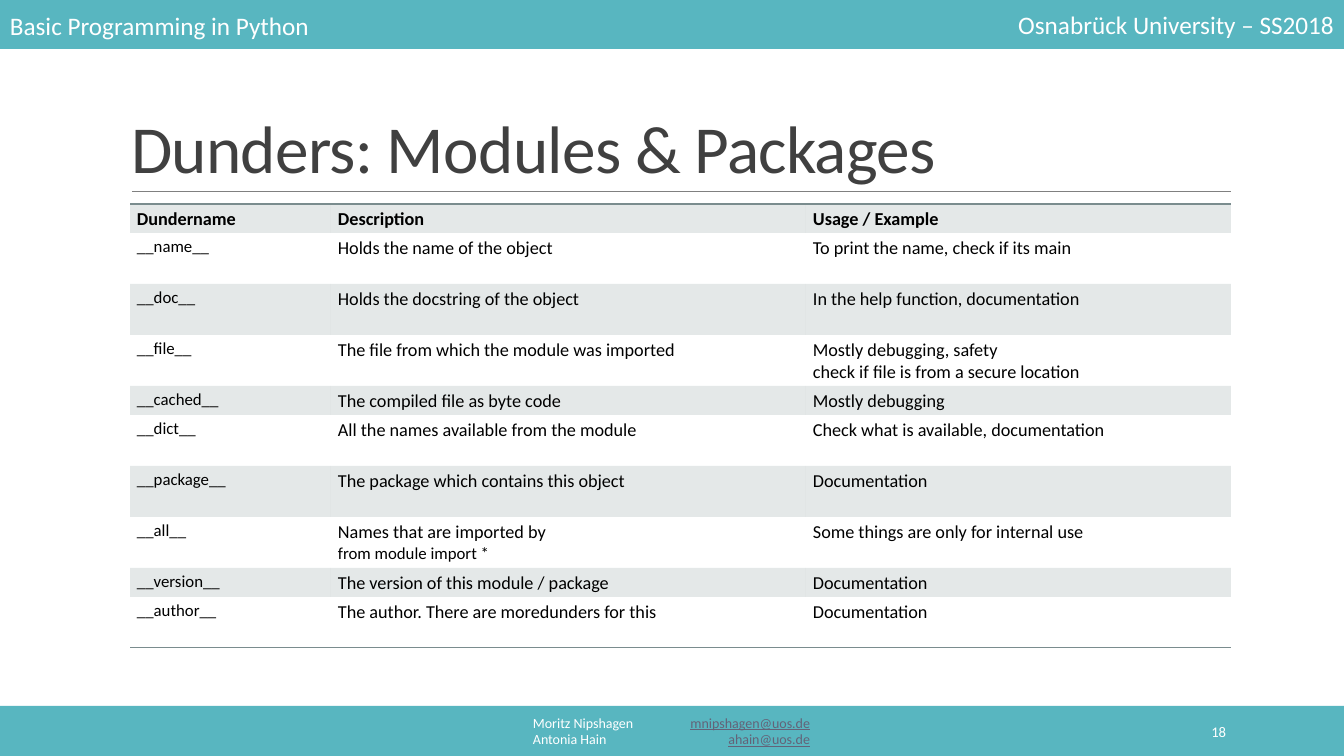
from lxml import etree
from pptx import Presentation
from pptx.dml.color import RGBColor
from pptx.enum.shapes import MSO_CONNECTOR, MSO_SHAPE
from pptx.enum.text import MSO_ANCHOR, PP_ALIGN
from pptx.oxml.ns import qn
from pptx.util import Pt

LEFT, CENTER, RIGHT = PP_ALIGN.LEFT, PP_ALIGN.CENTER, PP_ALIGN.RIGHT
MIDDLE, BOTTOM = MSO_ANCHOR.MIDDLE, MSO_ANCHOR.BOTTOM
RECTANGLE, STRAIGHT = MSO_SHAPE.RECTANGLE, MSO_CONNECTOR.STRAIGHT
EMU_PER_PX = 914400 / 100.8
NO_TABLE_STYLE = "{2D5ABB26-0587-4C30-8999-92F81FD0307C}"

THEME = {
    "font": "Calibri",
    "bar": "58B6C0", "on_bar": "FFFFFF", "link": "636378",
    "title": "404040", "rule": "808080", "text": "000000", "band": "7A8C8E",
    "title_size": 48, "header_size": 18, "cell_size": 13, "code_size": 12,
    "number_size": 10.5, "footer_size": 10,
}


def px(*lengths):
    return [round(length * EMU_PER_PX) for length in lengths]


def style(font, size, color, bold=False):
    font.name = THEME["font"]
    font.size = Pt(THEME[size])
    font.bold = bold
    font.color.rgb = RGBColor.from_string(THEME[color])


deck = Presentation()
deck.slide_width, deck.slide_height = px(1344, 756)
page = deck.slides.add_slide(deck.slide_layouts[5])

# Title and the rule under it
title = page.shapes.title
title.left, title.top, title.width, title.height = px(121, 109, 1109, 83)
title.text_frame.vertical_anchor = BOTTOM
para = title.text_frame.paragraphs[0]
para.text = "Dunders: Modules & Packages"
para.alignment = LEFT
para.line_spacing = 0.85
style(para.font, "title_size", "title")
para.runs[0].font.size = Pt(THEME["title_size"])
para.runs[0]._r.get_or_add_rPr().set("spc", "-50")

rule = page.shapes.add_connector(STRAIGHT, *px(132, 191, 1231, 191))
rule.line.color.rgb = RGBColor.from_string(THEME["rule"])
rule.line.width = Pt(0.5)
etree.SubElement(rule._element.spPr, qn("a:effectLst"))

# Header and footer bars
for top, height in ((0, 49), (706, 50)):
    bar = page.shapes.add_shape(RECTANGLE, *px(0, top, 1344, height))
    bar.shadow.inherit = False
    bar.fill.solid()
    bar.fill.fore_color.rgb = RGBColor.from_string(THEME["bar"])
    bar.line.fill.background()

# Each line on a bar is a name, optionally followed by a mail address
bar_texts = [
    ((0, 5, 531, 40), LEFT, "header_size", [("Basic Programming in Python", "")]),
    ((813, 4, 531, 40), RIGHT, "header_size", [("Osnabrück University – SS2018", "")]),
    ((406, 711, 531, 40), CENTER, "footer_size",
     [("Moritz Nipshagen", "mnipshagen@uos.de"), ("Antonia Hain", "ahain@uos.de")]),
    ((1092, 712, 144, 40), RIGHT, "number_size", [("18", "")]),
]
for place, alignment, size, lines in bar_texts:
    box = page.shapes.add_textbox(*px(*place))
    frame = box.text_frame
    frame.word_wrap = True
    frame.vertical_anchor = MIDDLE
    for index, (name, mail) in enumerate(lines):
        para = frame.add_paragraph() if index else frame.paragraphs[0]
        para.alignment = alignment
        style(para.font, size, "on_bar")
        para.add_run().text = f"{name}\t" if mail else name
        if mail:
            span = para.add_run()
            span.text = mail
            span.font.underline = True
            span.font.color.rgb = RGBColor.from_string(THEME["link"])
            tabs = etree.Element(qn("a:tabLst"))
            etree.SubElement(tabs, qn("a:tab"), pos=str(px(277)[0]), algn="r")
            para._p.get_or_add_pPr().insert(0, tabs)

# Table: row height, dunder, description, usage
SINGLE, DOUBLE = 29, 51
rows = [
    (SINGLE, "Dundername", "Description", "Usage / Example"),
    (DOUBLE, "__name__", "Holds the name of the object",
     "To print the name, check if its main"),
    (DOUBLE, "__doc__", "Holds the docstring of the object",
     "In the help function, documentation"),
    (DOUBLE, "__file__", "The file from which the module was imported",
     "Mostly debugging, safety\ncheck if file is from a secure location"),
    (SINGLE, "__cached__", "The compiled file as byte code", "Mostly debugging"),
    (DOUBLE, "__dict__", "All the names available from the module",
     "Check what is available, documentation"),
    (DOUBLE, "__package__", "The package which contains this object", "Documentation"),
    (DOUBLE, "__all__", "Names that are imported by\vfrom module import *",
     "Some things are only for internal use"),
    (SINGLE, "__version__", "The version of this module / package", "Documentation"),
    (DOUBLE, "__author__", "The author. There are moredunders for this",
     "Documentation"),
]
columns = (201, 475, 425)
table_height = sum(row[0] for row in rows)
table = page.shapes.add_table(
    len(rows), len(columns), *px(130, 204, sum(columns), table_height)).table
table._tbl.tblPr.find(qn("a:tableStyleId")).text = NO_TABLE_STYLE
for column, width in zip(table.columns, px(*columns)):
    column.width = width

edges = {0: "a:lnT", len(rows) - 1: "a:lnB"}
for row_index, (height, *texts) in enumerate(rows):
    table.rows[row_index].height = px(height)[0]
    for column_index, text in enumerate(texts):
        cell = table.cell(row_index, column_index)
        cell.text = text
        (cell.margin_left, cell.margin_top,
         cell.margin_right, cell.margin_bottom) = px(7, 4, 7, 3)
        is_code = row_index > 0 and column_index == 0
        for para in cell.text_frame.paragraphs:
            style(para.font, "code_size" if is_code else "cell_size", "text",
                  bold=row_index == 0)
            for span in para.runs[1:]:
                span.font.size = Pt(THEME["code_size"])

        if row_index % 2 == 0:
            cell.fill.solid()
            cell.fill.fore_color.rgb = RGBColor.from_string(THEME["band"])
            band_color = cell._tc.tcPr.find(f"{qn('a:solidFill')}/{qn('a:srgbClr')}")
            etree.SubElement(band_color, qn("a:alpha"), val="20000")
        else:
            cell.fill.background()
        if row_index in edges:
            edge = etree.Element(qn(edges[row_index]), w=str(Pt(1)))
            edge_fill = etree.SubElement(edge, qn("a:solidFill"))
            etree.SubElement(edge_fill, qn("a:srgbClr"), val=THEME["band"])
            cell._tc.tcPr.insert(0, edge)

deck.save("out.pptx")
